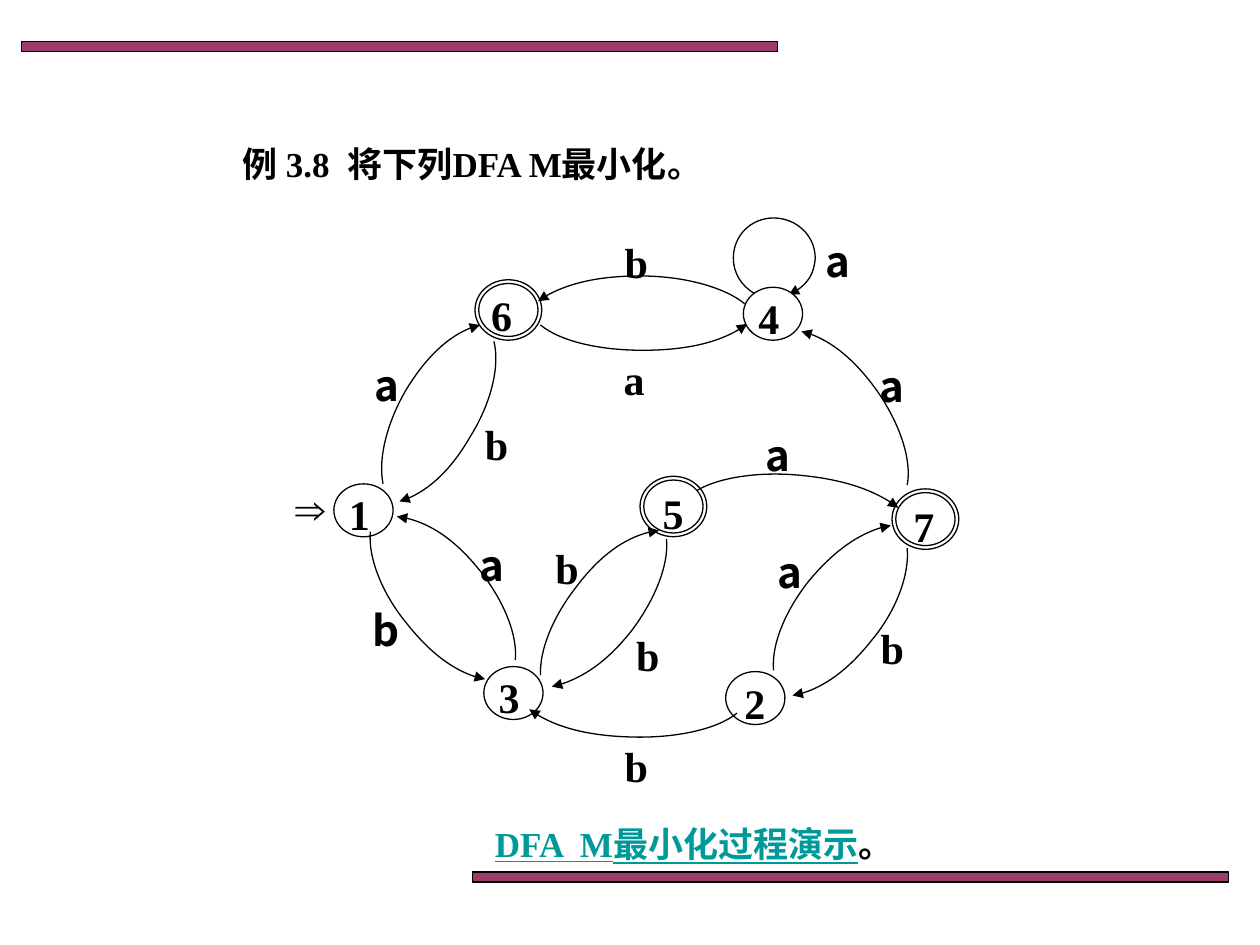
from lxml.etree import SubElement
from pptx import Presentation
from pptx.dml.color import RGBColor
from pptx.enum.shapes import MSO_SHAPE
from pptx.oxml.ns import qn
from pptx.util import Inches, Pt

BLACK = RGBColor(0x00, 0x00, 0x00)
WHITE = RGBColor(0xFF, 0xFF, 0xFF)
PLUM = RGBColor(0x99, 0x33, 0x66)
TEAL = RGBColor(0x00, 0x99, 0x99)
SERIF, SANS = "Times New Roman", "Noto Sans CJK SC"

SLIDE_W, SLIDE_H = 10, 7.5
BAR_W, BAR_H = 0.6 * SLIDE_W, 0.08
NODE_W, NODE_H = 0.47, 0.42
RING = 0.03  # gap between the two circles of an accepting state
LABEL = 0.42

BARS = [(0.17, 0.33), (3.75, 6.92)]

# Sentences: left, top, width, runs of (text, colour, underlined)
SENTENCES = [
    (1.83, 1.08, 4.33, [("例 3.8  将下列DFA M最小化。", BLACK, False)]),
    (3.83, 6.48, 3.83, [("DFA  M最小化过程演示", TEAL, True), ("。", BLACK, False)]),
]

# States: name, centre x, centre y, label left, label top, accepting
STATES = [
    ("1", 2.885, 4.05, 2.67, 3.83, False),
    ("7", 7.345, 4.12, 7.15, 3.92, True),
    ("6", 4.035, 2.46, 3.80, 2.25, True),
    ("3", 4.075, 5.50, 3.86, 5.28, False),
    ("4", 6.135, 2.49, 5.92, 2.27, False),
    ("2", 5.995, 5.54, 5.81, 5.33, False),
]
STATE_5 = ("5", 5.345, 4.02, 5.16, 3.82, True)

# Transitions: start point, then Bezier points in threes; the arrow is at the end
EDGES_UNDER = [
    # 4 to 4, 6 to 4
    [(5.99, 2.33), (5.88, 2.27), (5.82, 2.16), (5.82, 2.05), (5.82, 1.87), (5.96, 1.73), (6.14, 1.73),
     (6.32, 1.73), (6.47, 1.87), (6.47, 2.05), (6.46, 2.18), (6.38, 2.29), (6.26, 2.34)],
    [(4.29, 2.58), (4.45, 2.71), (4.76, 2.78), (5.10, 2.78), (5.45, 2.78), (5.77, 2.70), (5.93, 2.57)],
]
EDGES_OVER = [
    # 4 to 6, 6 to 1, 1 to 6
    [(5.91, 2.41), (5.75, 2.28), (5.43, 2.19), (5.08, 2.19), (4.74, 2.19), (4.43, 2.27), (4.27, 2.39)],
    [(3.92, 2.71), (3.97, 2.90), (3.90, 3.20), (3.73, 3.47), (3.58, 3.73), (3.36, 3.93), (3.17, 3.98)],
    [(3.04, 3.84), (3.00, 3.64), (3.07, 3.36), (3.22, 3.10), (3.39, 2.82), (3.62, 2.62), (3.81, 2.58)],
    # 3 to 1, 1 to 3
    [(4.09, 5.24), (4.11, 5.04), (4.00, 4.77), (3.81, 4.53), (3.61, 4.28), (3.36, 4.12), (3.15, 4.10)],
    [(2.94, 4.22), (2.92, 4.42), (3.03, 4.71), (3.23, 4.95), (3.42, 5.19), (3.66, 5.36), (3.85, 5.39)],
    # 5 to 3, 3 to 5
    [(5.29, 4.28), (5.31, 4.48), (5.20, 4.76), (5.01, 5.01), (4.82, 5.25), (4.58, 5.41), (4.38, 5.45)],
    [(4.29, 5.36), (4.28, 5.16), (4.39, 4.89), (4.58, 4.65), (4.77, 4.40), (5.02, 4.23), (5.23, 4.21)],
    # 7 to 2, 2 to 7
    [(7.20, 4.35), (7.22, 4.55), (7.12, 4.84), (6.92, 5.08), (6.73, 5.32), (6.49, 5.49), (6.29, 5.52)],
    [(6.14, 5.32), (6.12, 5.12), (6.23, 4.85), (6.42, 4.61), (6.62, 4.37), (6.87, 4.20), (7.07, 4.17)],
    # 7 to 4, 2 to 3, 5 to 7
    [(7.20, 3.85), (7.24, 3.65), (7.14, 3.36), (6.96, 3.10), (6.78, 2.85), (6.55, 2.67), (6.36, 2.63)],
    [(5.85, 5.66), (5.69, 5.79), (5.36, 5.86), (5.01, 5.85), (4.67, 5.84), (4.37, 5.76), (4.20, 5.63)],
    [(5.49, 3.92), (5.65, 3.80), (5.98, 3.74), (6.33, 3.77), (6.67, 3.80), (6.97, 3.90), (7.13, 4.03)],
]

# Transition symbols by (text, font): left, top
SYMBOLS = {
    ("a", SANS): [(2.87, 2.80), (6.45, 1.82), (3.71, 4.23), (6.88, 2.81), (5.98, 3.36), (6.07, 4.29)],
    ("a", SERIF): [(4.85, 2.76)],
    ("b", SANS): [(2.86, 4.75)],
    ("b", SERIF): [(3.75, 3.27), (4.86, 1.83), (4.95, 4.95), (4.86, 5.83), (4.31, 4.26), (6.89, 4.89)],
}


def outline(sp, fill=None):
    sp.shadow.inherit = False
    if fill is None:
        sp.fill.background()
    else:
        sp.fill.solid()
        sp.fill.fore_color.rgb = fill
    sp.line.color.rgb = BLACK
    sp.line.width = Pt(0.75)


def add_text(s, x, y, w, h, runs, size, font=SERIF, east=None):
    tf = s.shapes.add_textbox(Inches(x), Inches(y), Inches(w), Inches(h)).text_frame
    tf.word_wrap = True
    p = tf.paragraphs[0]
    for text, color, underlined in runs:
        r = p.add_run()
        r.text = text
        r.font.name, r.font.size, r.font.bold = font, Pt(size), True
        r.font.color.rgb = color
        r.font.underline = underlined
        if east:
            SubElement(r.font._element, qn("a:ea"), typeface=east)


def add_label(s, text, x, y, w=LABEL, font=SERIF):
    add_text(s, x, y, w, LABEL, [(text, BLACK, False)], 24, font)


def add_ellipse(s, cx, cy, grow=0, fill=None):
    w, h = NODE_W + 2 * grow, NODE_H + 2 * grow
    sp = s.shapes.add_shape(MSO_SHAPE.OVAL, Inches(cx - w / 2), Inches(cy - h / 2), Inches(w), Inches(h))
    outline(sp, fill)


def add_state(s, name, cx, cy, x, y, accepting):
    add_ellipse(s, cx, cy, fill=WHITE)
    if accepting:
        add_ellipse(s, cx, cy, RING)
    add_label(s, name, x, y, 0.52 if accepting else LABEL)


def add_edge(s, points):
    start, *rest = [(Inches(x), Inches(y)) for x, y in points]
    builder = s.shapes.build_freeform(*start)
    builder.add_line_segments(rest, close=False)
    sp = builder.convert_to_shape()
    outline(sp)
    # Turn each three line segments into one Bezier curve
    segments = sp._element.xpath(".//a:lnTo")
    for i in range(0, len(segments), 3):
        curve = SubElement(segments[i].getparent(), qn("a:cubicBezTo"))
        for seg in segments[i:i + 3]:
            curve.append(seg[0])
            seg.getparent().remove(seg)
    SubElement(sp.line._get_or_add_ln(), qn("a:tailEnd"), type="triangle")


def main():
    prs = Presentation()
    prs.slide_width, prs.slide_height = Inches(SLIDE_W), Inches(SLIDE_H)
    s = prs.slides.add_slide(prs.slide_layouts[6])

    # Decorative bars
    for x, y in BARS:
        sp = s.shapes.add_shape(MSO_SHAPE.RECTANGLE, Inches(x), Inches(y), Inches(BAR_W), Inches(BAR_H))
        outline(sp, PLUM)
        color = sp._element.spPr.find(qn("a:solidFill"))[0]
        SubElement(color, qn("a:alpha"), val="96000")

    # Title and closing line
    for x, y, w, runs in SENTENCES:
        add_text(s, x, y, w, 0.43, runs, 20, east=SANS)

    # Automaton; state 5 covers the arrow that reaches it
    for points in EDGES_UNDER:
        add_edge(s, points)
    for state in STATES:
        add_state(s, *state)
    for points in EDGES_OVER:
        add_edge(s, points)
    add_state(s, *STATE_5)
    add_label(s, "⇒", 2.25, 3.78, 0.56)
    for (text, font), places in SYMBOLS.items():
        for x, y in places:
            add_label(s, text, x, y, font=font)

    prs.save("out.pptx")


if __name__ == "__main__":
    main()
